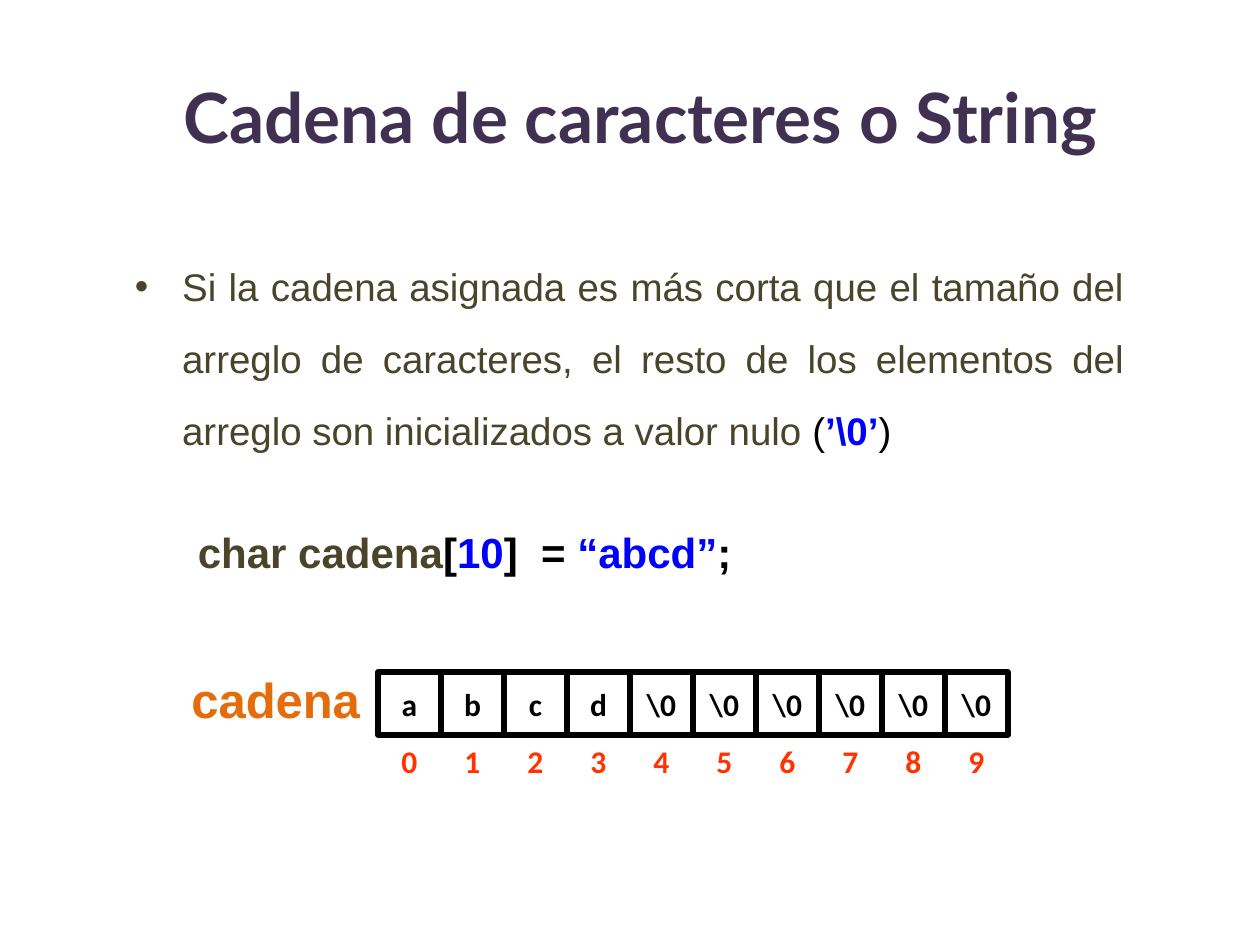
from dataclasses import dataclass

from lxml.etree import SubElement
from pptx import Presentation
from pptx.dml.color import RGBColor
from pptx.enum.shapes import MSO_SHAPE
from pptx.enum.text import MSO_ANCHOR, PP_ALIGN
from pptx.oxml.ns import qn
from pptx.util import Pt


@dataclass(frozen=True)
class Theme:
    black: str = "000000"
    white: str = "FFFFFF"
    olive: str = "4A452A"
    blue: str = "0000FF"
    red: str = "FF3300"
    orange: str = "E46C0A"
    purple: str = "403152"
    title_font: str = "Lato"
    body_font: str = "Arial"
    cell_font: str = "Calibri"
    title_size: float = 39.6
    body_size: float = 22
    code_size: float = 24
    name_size: float = 28
    cell_size: float = 18


class Deck:
    def __init__(self, theme):
        self.theme = theme
        self.prs = Presentation()
        self.prs.slide_width, self.prs.slide_height = Pt(720), Pt(540)
        self.s = self.prs.slides.add_slide(self.prs.slide_layouts[6])

    def add_runs(self, p, runs, font, size):
        """Add (text, colour, bold) runs to a paragraph."""
        for text, color, bold in runs:
            r = p.add_run()
            r.text = text
            r.font.name, r.font.size, r.font.bold = font, Pt(size), bold
            r.font.color.rgb = RGBColor.from_string(color)

    def text_box(self, x, y, w, h, anchor=MSO_ANCHOR.TOP):
        tf = self.s.shapes.add_textbox(Pt(x), Pt(y), Pt(w), Pt(h)).text_frame
        tf.word_wrap = True
        tf.vertical_anchor = anchor
        return tf

    def label(self, x, y, w, h, text, color, font, size, wrap=True):
        tf = self.text_box(x, y, w, h, MSO_ANCHOR.MIDDLE)
        tf.word_wrap = wrap
        p = tf.paragraphs[0]
        p.alignment = PP_ALIGN.CENTER
        self.add_runs(p, [(text, color, True)], font, size)

    def cell(self, x, y, side, text):
        t = self.theme
        sp = self.s.shapes.add_shape(MSO_SHAPE.RECTANGLE, Pt(x), Pt(y), Pt(side), Pt(side))
        sp.shadow.inherit = False
        sp.fill.solid()
        sp.fill.fore_color.rgb = RGBColor.from_string(t.white)
        sp.line.color.rgb = RGBColor.from_string(t.black)
        sp.line.width = Pt(3)
        tf = sp.text_frame
        tf.word_wrap = False
        tf.vertical_anchor = MSO_ANCHOR.MIDDLE
        p = tf.paragraphs[0]
        p.alignment = PP_ALIGN.CENTER
        self.add_runs(p, [(text, t.black, True)], t.cell_font, t.cell_size)

    def indent(self, p, left, first=0, bullet=None):
        pPr = p._p.get_or_add_pPr()
        pPr.set("marL", str(Pt(left)))
        pPr.set("indent", str(Pt(first)))
        if bullet:
            SubElement(pPr, qn("a:buFont"), typeface=self.theme.body_font)
            SubElement(pPr, qn("a:buChar"), char=bullet)

    def body(self, x, y, w, h, statement, code):
        t = self.theme
        tf = self.text_box(x, y, w, h)
        p = tf.paragraphs[0]
        p.alignment = PP_ALIGN.JUSTIFY
        p.line_spacing = 1.56
        self.indent(p, 27, -27, "•")
        self.add_runs(p, statement, t.body_font, t.body_size)
        p = tf.add_paragraph()
        p.alignment = PP_ALIGN.JUSTIFY
        p.line_spacing = 1.2
        p.space_before = Pt(36)
        self.indent(p, 36)
        self.add_runs(p, code, t.body_font, t.code_size)

    def array(self, x, y, side, values):
        """Draw a row of cells with their indexes below."""
        t = self.theme
        for i, value in enumerate(values):
            left = x + i * side
            self.cell(left, y, side, value)
            self.label(left, y + 33, side, side, str(i), t.red, t.cell_font, t.cell_size)


def main():
    t = Theme()
    deck = Deck(t)
    deck.body(
        70, 132, 579.5, 252,
        [("Si la cadena asignada es más corta que el tamaño del arreglo de caracteres, "
          "el resto de los elementos del arreglo son inicializados a valor nulo ", t.olive, False),
         ("(", t.black, False), ("’\\0’", t.blue, True), (")", t.black, False)],
        [("char cadena", t.olive, True), ("[", t.black, True), ("10", t.blue, True),
         ("]  = ", t.black, True), ("“abcd”", t.blue, True), (";", t.black, True)],
    )
    deck.array(216, 384, 36, list("abcd") + ["\\0"] * 6)
    deck.label(101.5, 379, 112, 41, "cadena", t.orange, t.body_font, t.name_size, wrap=False)
    deck.label(60, 21, 612, 90, "Cadena de caracteres o String",
               t.purple, t.title_font, t.title_size)
    deck.prs.save("out.pptx")


if __name__ == "__main__":
    main()
